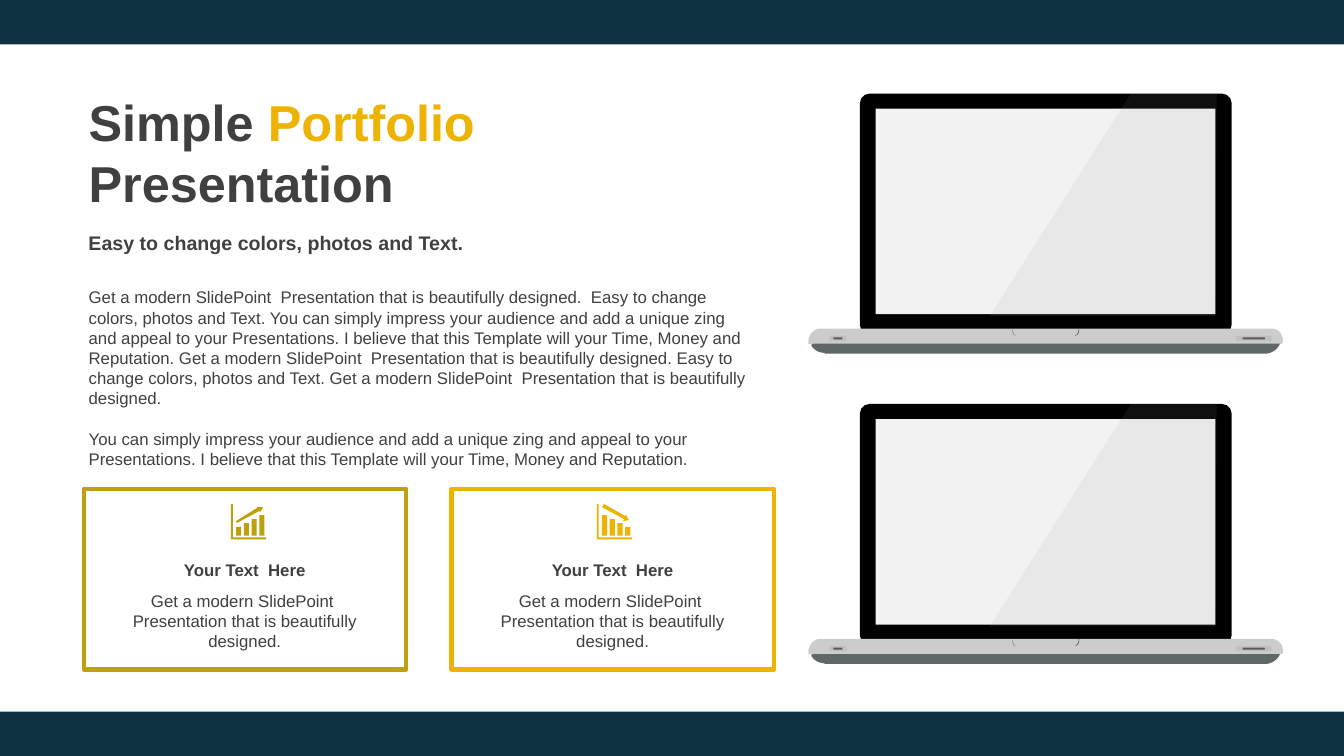
import pptx
import pptx.util
import pptx.dml.color
import pptx.enum.shapes
import pptx.enum.text
import pptx.oxml.ns
import lxml.etree

Cm, Pt = pptx.util.Cm, pptx.util.Pt
MSO = pptx.enum.shapes.MSO_SHAPE
ALIGN = pptx.enum.text.PP_ALIGN
qn = pptx.oxml.ns.qn

# ---- Content ----
COLORS = {"navy": "0F3240", "text": "404040", "gold": "EDB300", "olive": "BEA00E",
          "white": "FFFFFF", "black": "000000", "screen": "F2F2F2", "base": "CCCCCC",
          "under": "5F6767", "notch": "4D4D4D", "slot": "BFBFBF", "bar": "595959",
          "glare": "999999"}
TITLE = [[("Simple ", "text"), ("Portfolio", "gold")], [("Presentation", "text")]]
SUBTITLE = "Easy to change colors, photos and Text."
BODY = [
    "Get a modern SlidePoint  Presentation that is beautifully designed.  Easy to change "
    "colors, photos and Text. You can simply impress your audience and add a unique zing "
    "and appeal to your Presentations. I believe that this Template will your Time, Money "
    "and Reputation. Get a modern SlidePoint  Presentation that is beautifully designed. "
    "Easy to change colors, photos and Text. Get a modern SlidePoint  Presentation that is "
    "beautifully designed.",
    "You can simply impress your audience and add a unique zing and appeal to your "
    "Presentations. I believe that this Template will your Time, Money and Reputation.",
]
CARD_HEAD = "Your Text  Here"
CARD_TEXT = "Get a modern SlidePoint  Presentation that is beautifully designed."

# Icons in cm: bar tops and arrow outline
BAR_TOPS = [0.58, 0.48, 0.38, 0.28]
ARROW_UP = [(0.66, 0.08), (0.81, 0.08), (0.74, 0.2), (0.71, 0.18), (0.15, 0.48),
            (0.13, 0.43), (0.66, 0.1)]
ARROW_DOWN = [(0.18, 0), (0.71, 0.3), (0.74, 0.28), (0.81, 0.41), (0.66, 0.43),
              (0.69, 0.38), (0.13, 0.08)]
CARDS = [("olive", 5.82, BAR_TOPS, ARROW_UP), ("gold", 15.04, BAR_TOPS[::-1], ARROW_DOWN)]

# Laptop outlines in cm: pairs are corners, sixes are Bezier curves
UNDERSIDE = [(11.56, 6.55), (11.56, 6.55, 11.79, 6.53, 11.89, 6.3),
             (11.89, 6.25, 11.84, 6.2, 11.79, 6.2), (0.33, 6.25), (0.2, 6.25),
             (0.13, 6.25, 0.08, 6.27, 0.08, 6.35), (0.15, 6.48, 0.3, 6.53, 0.38, 6.53),
             (0.43, 6.55)]
BASE = [(0.3, 5.92), (11.66, 5.92), (11.84, 5.92, 11.96, 6.05, 11.96, 6.22),
        (11.96, 6.27), (11.96, 6.27, 11.96, 6.32, 11.86, 6.3), (0.15, 6.3),
        (0.03, 6.32, 0, 6.32, 0, 6.27), (0, 6.22), (0.03, 6.05, 0.15, 5.92, 0.3, 5.92)]
NOTCH = [[(5.16, 5.92), (5.16, 5.92, 5.13, 6.07, 5.23, 6.1),
          (5.11, 6.07, 5.16, 5.92, 5.16, 5.92)],
         [(6.81, 5.92), (6.83, 5.92), (6.83, 6.07, 6.76, 6.1, 6.71, 6.1),
          (6.73, 6.1, 6.83, 6.05, 6.81, 5.92)]]
GLARE = [(8.13, 0), (10.29, 0), (10.26, 5.61), (4.57, 5.61)]
PORTS = [(0.53, 0.43, 0.23), (10.77, 0.91, 0.56)]  # slot left, slot width, bar width
LAPTOP_LEFT, LAPTOP_TOPS = 20.37, [10.18, 2.36]

prs = pptx.Presentation()
prs.slide_width, prs.slide_height = Cm(33.87), Cm(19.05)
s = prs.slides.add_slide(prs.slide_layouts[1])


# ---- Helpers ----
def rgb(name):
    return pptx.dml.color.RGBColor.from_string(COLORS[name])


def paint(sp, fill, line=None):
    sp.shadow.inherit = False
    sp.fill.solid()
    sp.fill.fore_color.rgb = rgb(fill)
    if line:
        sp.line.color.rgb = rgb(line)
        sp.line.width = Pt(3)
    else:
        sp.line.fill.background()
    return sp


def preset(kind, x, y, w, h, fill, line=None, corner=None):
    sp = s.shapes.add_shape(kind, Cm(x), Cm(y), Cm(w), Cm(h))
    if corner is not None:
        sp.adjustments[0] = corner
    return paint(sp, fill, line)


def flatten(outline, steps=8):
    points = []
    for seg in outline:
        if len(seg) == 2:
            points.append(seg)
            continue
        x0, y0 = points[-1]
        x1, y1, x2, y2, x3, y3 = seg
        for t in (i / steps for i in range(1, steps + 1)):
            a, b, c, d = (1 - t) ** 3, 3 * t * (1 - t) ** 2, 3 * t * t * (1 - t), t ** 3
            points.append((a * x0 + b * x1 + c * x2 + d * x3,
                           a * y0 + b * y1 + c * y2 + d * y3))
    return points


def free(outlines, left, top, fill):
    builder = None
    for outline in outlines:
        first, *rest = [(Cm(left + x), Cm(top + y)) for x, y in flatten(outline)]
        if builder is None:
            builder = s.shapes.build_freeform(*first)
        else:
            builder.move_to(*first)
        builder.add_line_segments(rest, close=True)
    return paint(builder.convert_to_shape(), fill)


def place(sp, x, y, w, h):
    sp.left, sp.top, sp.width, sp.height = Cm(x), Cm(y), Cm(w), Cm(h)
    tf = sp.text_frame
    tf.word_wrap = True
    tf.auto_size = pptx.enum.text.MSO_AUTO_SIZE.NONE
    tf.vertical_anchor = pptx.enum.text.MSO_ANCHOR.TOP
    return tf


def style(p, size, bold=False, align=ALIGN.LEFT):
    p.font.name, p.font.size, p.font.bold = "Arial", Pt(size), bold
    p.font.color.rgb = rgb("text")
    p.alignment = align
    p.space_before = Pt(0)


def label(text, x, y, w, h, size=12, bold=False, align=ALIGN.LEFT):
    tf = place(s.shapes.add_textbox(0, 0, 0, 0), x, y, w, h)
    tf.text = text
    style(tf.paragraphs[0], size, bold, align)


# ---- Bands at top and bottom ----
for y in (0, 17.93):
    preset(MSO.RECTANGLE, 0, y, 33.87, 1.12, "navy")

# ---- Laptops ----
for top in LAPTOP_TOPS:
    free([UNDERSIDE], LAPTOP_LEFT, top, "under")
    preset(MSO.ROUNDED_RECTANGLE, LAPTOP_LEFT + 1.3, top, 9.37, 6.07, "black", corner=0.04)
    preset(MSO.RECTANGLE, LAPTOP_LEFT + 1.7, top + 0.38, 8.56, 5.18, "screen")
    free([BASE], LAPTOP_LEFT, top, "base")
    free(NOTCH, LAPTOP_LEFT, top, "notch")
    for x, slot, bar in PORTS:
        x += LAPTOP_LEFT
        preset(MSO.ROUNDED_RECTANGLE, x, top + 6.1, slot, 0.13, "slot", corner=0.28)
        preset(MSO.ROUNDED_RECTANGLE, x + (slot - bar) / 2, top + 6.14, bar, 0.05, "bar",
               corner=0.28)
    glare = free([GLARE], LAPTOP_LEFT, top, "glare")
    color = glare.fill._xPr.find(qn("a:solidFill"))[0]
    lxml.etree.SubElement(color, qn("a:alpha")).set("val", "10000")

# ---- Title, subtitle and body ----
tf = place(s.shapes.title, 1.98, 2.18, 10.8, 3.33)
for i, runs in enumerate(TITLE):
    p = tf.add_paragraph() if i else tf.paragraphs[0]
    style(p, 36, True)
    for text, color in runs:
        r = p.add_run()
        r.text = text
        r.font.color.rgb = rgb(color)

label(SUBTITLE, 1.98, 5.69, 10.8, 0.86, 14, True)

tf = place(s.placeholders[1], 1.98, 7.11, 17.2, 4.88)
for i, text in enumerate(BODY):
    p = tf.add_paragraph() if i else tf.paragraphs[0]
    p.text = text
    style(p, 12)
    p.space_before = Pt(14.4 * i)
    pPr = p._p.get_or_add_pPr()
    pPr.set("marL", "0")
    pPr.set("indent", "0")
    pPr.insert_element_before(lxml.etree.Element(qn("a:buNone")), "a:tabLst", "a:defRPr")

# ---- Cards with chart icons ----
AXIS = [(0, 0), (0.05, 0), (0.05, 0.84), (0.89, 0.84), (0.89, 0.89), (0, 0.89)]
for i, (color, icon_left, tops, arrow) in enumerate(CARDS):
    x = 2.11 + 9.27 * i
    preset(MSO.RECTANGLE, x, 12.32, 8.13, 4.55, "white", line=color)
    label(CARD_HEAD, x + 0.43, 13.97, 7.26, 0.76, bold=True, align=ALIGN.CENTER)
    label(CARD_TEXT, x + 0.43, 14.76, 7.26, 1.8, align=ALIGN.CENTER)
    bars = []
    for n, bar_top in enumerate(tops):
        left = 0.13 + 0.195 * n
        bars.append([(left, bar_top), (left + 0.13, bar_top), (left + 0.13, 0.8), (left, 0.8)])
    free(bars + [arrow, AXIS], icon_left, 12.7, color)

prs.save("out.pptx")
